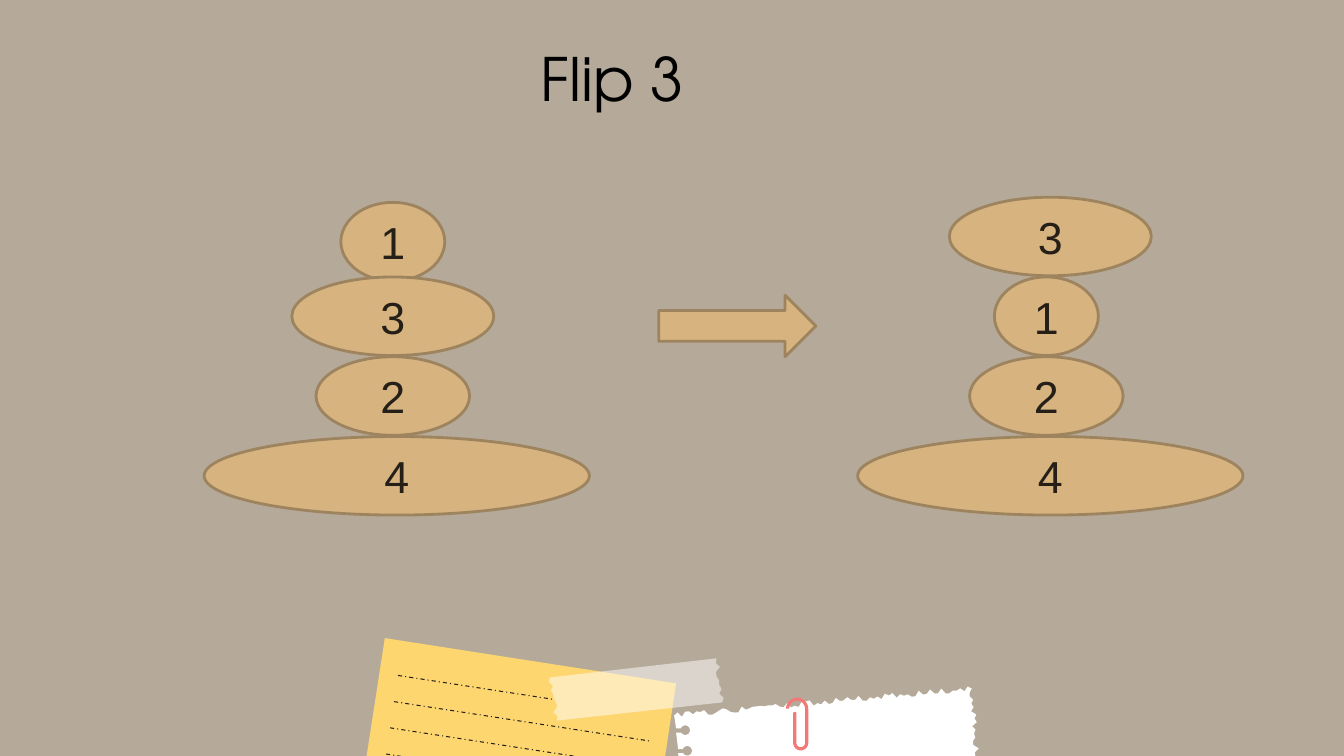
"""Build the pancake sorting slide "Flip 3" with two stacks and paper decorations."""
import math

from lxml import etree
from pptx import Presentation
from pptx import util as u
from pptx.dml.color import RGBColor
from pptx.enum import dml, shapes, text
from pptx.oxml.ns import qn

BACKGROUND = RGBColor(0xB5, 0xAA, 0x99)
PANCAKE = RGBColor(0xD6, 0xB3, 0x7F)
CRUST = RGBColor(0x9E, 0x84, 0x5E)
INK = RGBColor(0x25, 0x1F, 0x18)
BLACK = RGBColor(0, 0, 0)
YELLOW = RGBColor(0xFD, 0xD6, 0x70)
WHITE = RGBColor(0xFF, 0xFF, 0xFF)
CORAL = RGBColor(0xF2, 0x79, 0x77)

TITLE = " Flip 3"
PANCAKE_WIDTHS = {1: 2.62, 2: 3.87, 3: 5.09, 4: 9.71}
PANCAKE_HEIGHT = 1.98
PANCAKE_PITCH = 2.01
BOTTOM_PANCAKE_TOP = 11
STACKS = [
    {"top_sink": 0.13, "pancakes": [(1, 9.9), (3, 9.9), (2, 9.9), (4, 10)]},
    {"top_sink": 0, "pancakes": [(3, 26.47), (1, 26.37), (2, 26.37), (4, 26.47)]},
]

NOTE_CORNERS = [(17.04, 17.22), (9.7, 16.08), (9.09, 20.02), (16.51, 20.73)]
RULE_LENGTHS = [3.96, 6.45, 6.45, 6.45]
RULE_START, RULE_STEP, RULE_SLOPE = (10.03, 17.02), (-0.1, 0.66), 0.154

TAPE = {"top_left": (13.86, 17.07), "bottom_left": (14.03, 18.16),
        "bottom_right": (18.2, 17.7), "top_right": (18.06, 16.59)}
TAPE_TEETH, TAPE_DEPTH = 10, 0.06

SHEET = {"bottom_right": (24.7, 20.19), "top_right": (24.49, 17.35),
         "top_left": (16.99, 18.03), "bottom_left": (17.27, 20.9)}
SHEET_TEETH_PER_CM, SHEET_DEPTH = 10.5, 0.07
HOLE_COUNT, HOLE_PITCH = 5, (0.05, 0.52)
HOLE_CENTER, HOLE_RADIUS, HOLE_SLIT = (17.27, 18.4), 0.12, 0.23

CLIP_TOP, CLIP_BOTTOM, CLIP_TIP = (20.09, 17.86), (20.18, 18.72), (20.03, 17.98)
CLIP_TOP_RADIUS, CLIP_BOTTOM_RADIUS, CLIP_WIRE = 0.28, 0.19, 0.08


def arc(center, radius, start, end, parts=16):
    """Return points on an arc; angles in degrees run clockwise from the right."""
    angles = [math.radians(start + (end - start) * i / parts) for i in range(parts + 1)]
    return [(center[0] + radius * math.cos(a), center[1] + radius * math.sin(a))
            for a in angles]


def torn_edge(start, end, teeth, depth):
    """Return a ragged line whose inner points stray sideways by up to depth."""
    run, rise = end[0] - start[0], end[1] - start[1]
    length = math.hypot(run, rise)
    points = [start]
    for i in range(1, teeth):
        along, stray = i / teeth, depth * math.sin(i * i)
        points.append((start[0] + run * along - rise / length * stray,
                       start[1] + rise * along + run / length * stray))
    return points + [end]


def add_outline(slide, points, color):
    points = [(u.Cm(x), u.Cm(y)) for x, y in points]
    builder = slide.shapes.build_freeform(*points[0])
    builder.add_line_segments(points[1:], close=True)
    shape = builder.convert_to_shape()
    shape.shadow.inherit = False
    shape.fill.solid()
    shape.fill.fore_color.rgb = color
    shape.line.fill.background()
    return shape


def add_note(slide):
    add_outline(slide, NOTE_CORNERS, YELLOW)
    for row, length in enumerate(RULE_LENGTHS):
        left, top = (start + row * step for start, step in zip(RULE_START, RULE_STEP))
        ends = left, top, left + length, top + length * RULE_SLOPE
        rule = slide.shapes.add_connector(shapes.MSO_CONNECTOR.STRAIGHT, *map(u.Cm, ends))
        rule.line.color.rgb = INK
        rule.line.width = u.Pt(0.75)
        rule.line.dash_style = dml.MSO_LINE.DASH_DOT
        etree.SubElement(rule.element.spPr, qn("a:effectLst"))


def add_tape(slide):
    left = torn_edge(TAPE["top_left"], TAPE["bottom_left"], TAPE_TEETH, TAPE_DEPTH)
    right = torn_edge(TAPE["bottom_right"], TAPE["top_right"], TAPE_TEETH, TAPE_DEPTH)
    tape = add_outline(slide, left + right, WHITE)
    color = tape.element.spPr.find(qn("a:solidFill"))[0]
    etree.SubElement(color, qn("a:alpha"), val="50000")


def add_sheet(slide):
    outline = []
    for start, end in (("bottom_right", "top_right"), ("top_right", "top_left")):
        teeth = round(math.dist(SHEET[start], SHEET[end]) * SHEET_TEETH_PER_CM)
        outline += torn_edge(SHEET[start], SHEET[end], teeth, SHEET_DEPTH)
    for i in range(HOLE_COUNT):
        x, y = (start + i * pitch for start, pitch in zip(HOLE_CENTER, HOLE_PITCH))
        edge = x - HOLE_SLIT
        rim = arc((x, y), HOLE_RADIUS, 200, 510)
        outline += [(edge, rim[0][1]), *rim, (edge, rim[-1][1])]
    add_outline(slide, outline + [SHEET["bottom_left"]], WHITE)


def add_clip(slide):
    outer_top = arc(CLIP_TOP, CLIP_TOP_RADIUS, 360, 180)
    inner_top = arc(CLIP_TOP, CLIP_TOP_RADIUS - CLIP_WIRE, 180, 360)
    inner_bottom = arc(CLIP_BOTTOM, CLIP_BOTTOM_RADIUS - CLIP_WIRE, 0, 180)
    tip = arc(CLIP_TIP, CLIP_WIRE / 2, 360, 180)
    outer_bottom = arc(CLIP_BOTTOM, CLIP_BOTTOM_RADIUS, 180, 0)
    add_outline(slide, outer_top + inner_top + inner_bottom + tip + outer_bottom, CORAL)


def add_baked_shape(slide, kind, left, top, width, height):
    shape = slide.shapes.add_shape(kind, *map(u.Cm, (left, top, width, height)))
    shape.shadow.inherit = False
    shape.fill.solid()
    shape.fill.fore_color.rgb = PANCAKE
    shape.line.color.rgb = CRUST
    shape.line.width = u.Pt(2)
    return shape


def write(frame, words, font_name, size, color):
    paragraph = frame.paragraphs[0]
    paragraph.alignment = text.PP_ALIGN.CENTER
    run = paragraph.add_run()
    run.text = words
    run.font.name = font_name
    run.font.size = u.Pt(size)
    run.font.color.rgb = color


def add_title(slide):
    title = slide.shapes.add_textbox(u.Cm(9.49), u.Cm(0.94), u.Cm(11.46), u.Cm(2.08))
    title.text_frame.word_wrap = True
    title.text_frame.auto_size = text.MSO_AUTO_SIZE.SHAPE_TO_FIT_TEXT
    write(title.text_frame, TITLE, "TeX Gyre Adventor", 42.7, BLACK)


def add_stack(slide, pancakes, top_sink):
    stack_top = BOTTOM_PANCAKE_TOP - (len(pancakes) - 1) * PANCAKE_PITCH
    for level, (number, center) in enumerate(pancakes):
        width = PANCAKE_WIDTHS[number]
        top = stack_top + level * PANCAKE_PITCH + (top_sink if level == 0 else 0)
        pancake = add_baked_shape(
            slide, shapes.MSO_SHAPE.OVAL, center - width / 2, top, width, PANCAKE_HEIGHT)
        pancake.text_frame.vertical_anchor = text.MSO_ANCHOR.MIDDLE
        write(pancake.text_frame, str(number), "Arial", 32, INK)


def main():
    presentation = Presentation()
    presentation.slide_width = u.Cm(33.87)
    presentation.slide_height = u.Cm(19.05)
    slide = presentation.slides.add_slide(presentation.slide_layouts[6])
    slide.background.fill.solid()
    slide.background.fill.fore_color.rgb = BACKGROUND
    for add_part in (add_note, add_tape, add_sheet, add_clip, add_title):
        add_part(slide)
    add_baked_shape(slide, shapes.MSO_SHAPE.RIGHT_ARROW, 16.6, 7.44, 3.96, 1.55)
    for stack in STACKS:
        add_stack(slide, **stack)
    presentation.save("out.pptx")


if __name__ == "__main__":
    main()
